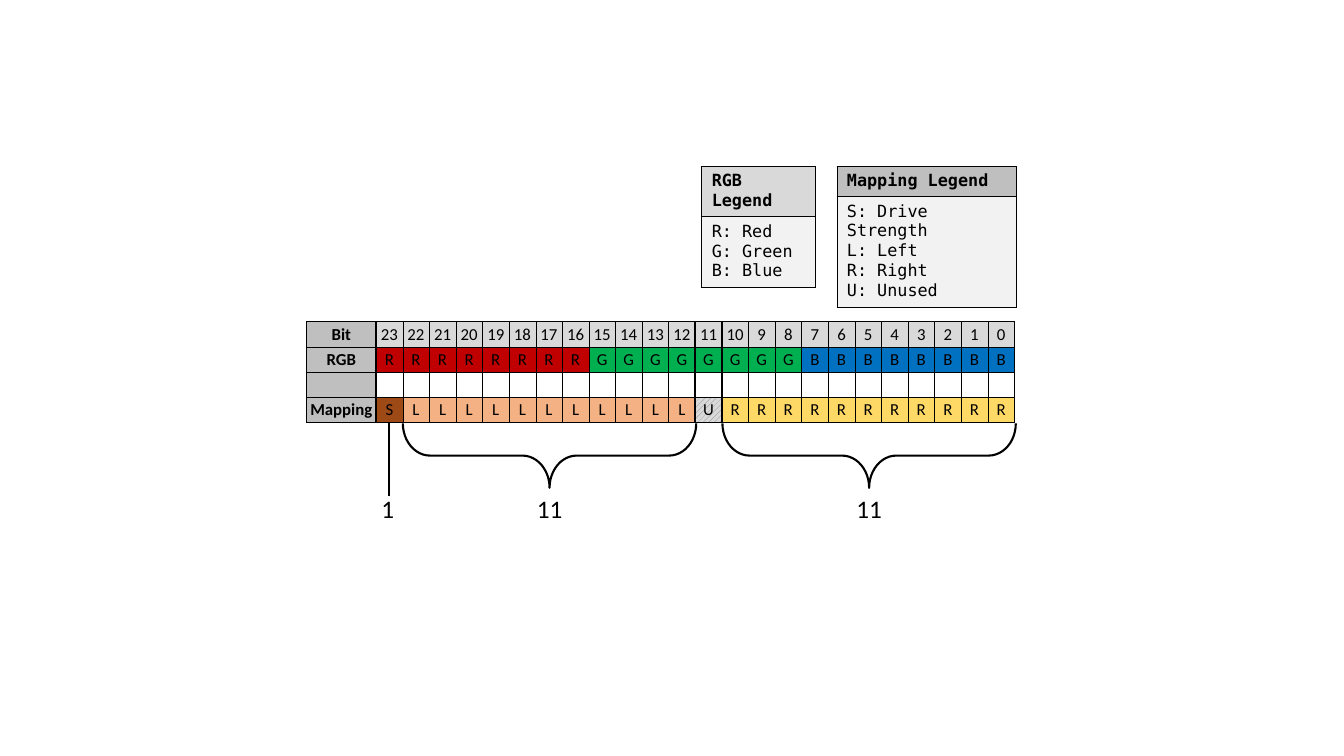
from dataclasses import dataclass

from lxml import etree
from pptx import Presentation
from pptx.dml.color import RGBColor
from pptx.enum.dml import MSO_PATTERN
from pptx.enum.shapes import MSO_CONNECTOR, MSO_SHAPE
from pptx.enum.text import MSO_ANCHOR, MSO_AUTO_SIZE, PP_ALIGN
from pptx.oxml.ns import qn
from pptx.slide import Slide
from pptx.table import Table, _Cell
from pptx.text.text import _Paragraph
from pptx.util import Inches, Pt

CENTER = PP_ALIGN.CENTER
MIDDLE = MSO_ANCHOR.MIDDLE
GROW = MSO_AUTO_SIZE.SHAPE_TO_FIT_TEXT
RIGHT_BRACE = MSO_SHAPE.RIGHT_BRACE
STRAIGHT = MSO_CONNECTOR.STRAIGHT
WIDE_UPWARD = MSO_PATTERN.WIDE_UPWARD_DIAGONAL


@dataclass(frozen=True)
class Theme:
    ink: str = "000000"
    label: str = "BFBFBF"
    header: str = "D9D9D9"
    body: str = "F2F2F2"
    hatch: str = "808080"
    font: str = "Calibri"
    mono: str = "DejaVu Sans Mono"
    table_size: float = 12
    count_size: float = 18
    hairline: float = 0.25
    frame: float = 0.5
    thick: float = 1.5


THEME = Theme()


@dataclass(frozen=True)
class BitRow:
    label: str
    bits: list[str]
    colors: dict[str, str]


@dataclass(frozen=True)
class Legend:
    title: str
    entries: list[str]
    left: float
    width: float
    color: str


@dataclass(frozen=True)
class Count:
    text: str
    center: float
    width: float


BIT_NUMBERS = [str(n) for n in reversed(range(24))]
BIT_ROWS = [
    BitRow("Bit", BIT_NUMBERS, dict.fromkeys(BIT_NUMBERS, THEME.header)),
    BitRow("RGB", list("R" * 8 + "G" * 8 + "B" * 8),
           {"R": "C00000", "G": "00B050", "B": "0070C0"}),
    BitRow("", [""] * 24, {}),
    BitRow("Mapping", list("S" + "L" * 11 + "U" + "R" * 11),
           {"S": "9E4A16", "L": "F4B183", "R": "FFD966"}),
]
THICK_EDGES = {1, 13, 14}
TABLE_LEFT, TABLE_TOP, TABLE_WIDTH = 3.04, 3.19, 7.03
LABEL_WIDTH, ROW_HEIGHT = 0.69, 0.25

LEGENDS = [
    Legend("RGB Legend", ["R: Red", "G: Green", "B: Blue"], 6.96, 1.13, THEME.header),
    Legend("Mapping Legend", ["S: Drive Strength", "L: Left", "R: Right", "U: Unused"],
           8.3, 1.78, THEME.label),
]
LEGEND_TOP, LEGEND_ROWS = 1.65, (0.29, 0.41)

STRENGTH = Count("1", 3.86, 0.35)
CHANNELS = [Count("11", 5.45, 0.45), Count("11", 8.62, 0.45)]
BRACE_DEPTH, BRACE_SPAN, BRACE_MIDDLE = 0.64, 2.91, 4.52


def rgb(color: str) -> RGBColor:
    return RGBColor.from_string(color)


def format_runs(p: _Paragraph, font: str, size: float, bold: bool = False) -> None:
    for r in p.runs:
        r.font.name, r.font.size, r.font.bold = font, Pt(size), bold
        r.font.color.rgb = rgb(THEME.ink)


def set_borders(cell: _Cell, left: float, right: float, level: float) -> None:
    """Put the four border lines ahead of the cell's fill."""
    tc_pr = cell._tc.get_or_add_tcPr()
    sides = (("L", left), ("R", right), ("T", level), ("B", level))
    for i, (side, weight) in enumerate(sides):
        ln = etree.Element(qn(f"a:ln{side}"), w=str(Pt(weight)))
        fill = etree.SubElement(ln, qn("a:solidFill"))
        etree.SubElement(fill, qn("a:srgbClr"), val=THEME.ink)
        tc_pr.insert(i, ln)


def add_plain_table(s: Slide, rows: int, cols: int, left: float, top: float,
                    width: float, height: float) -> Table:
    table = s.shapes.add_table(rows, cols, Inches(left), Inches(top),
                               Inches(width), Inches(height)).table
    table.first_row = table.horz_banding = False
    return table


def fill_bit_cell(cell: _Cell, text: str, color: str | None) -> None:
    if text == "U":
        cell.fill.patterned()
        cell.fill.pattern = WIDE_UPWARD
        cell.fill.fore_color.rgb = rgb(THEME.hatch)
        cell.fill.back_color.rgb = rgb(THEME.header)
    elif color:
        cell.fill.solid()
        cell.fill.fore_color.rgb = rgb(color)
    else:
        cell.fill.background()


def add_bit_table(s: Slide) -> None:
    cols = len(BIT_NUMBERS) + 1
    table = add_plain_table(s, len(BIT_ROWS), cols, TABLE_LEFT, TABLE_TOP,
                            TABLE_WIDTH, ROW_HEIGHT * len(BIT_ROWS))
    bit_width = (TABLE_WIDTH - LABEL_WIDTH) / len(BIT_NUMBERS)
    for col, column in enumerate(table.columns):
        column.width = Inches(bit_width if col else LABEL_WIDTH)
    edges = [THEME.thick if col in THICK_EDGES else THEME.hairline
             for col in range(cols + 1)]
    for row, bit_row in enumerate(BIT_ROWS):
        for col, text in enumerate([bit_row.label, *bit_row.bits]):
            cell = table.cell(row, col)
            cell.margin_left = cell.margin_right = cell.margin_top = Inches(0.01)
            cell.margin_bottom = 0
            cell.vertical_anchor = MIDDLE
            p = cell.text_frame.paragraphs[0]
            p.text, p.alignment = text, CENTER
            format_runs(p, THEME.font, THEME.table_size, bold=col == 0)
            if not text:
                etree.SubElement(p._p, qn("a:endParaRPr"),
                                 sz=str(int(THEME.table_size * 100)))
            fill_bit_cell(cell, text, bit_row.colors.get(text) if col else THEME.label)
            set_borders(cell, edges[col], edges[col + 1], THEME.hairline)


def add_legend(s: Slide, legend: Legend) -> None:
    table = add_plain_table(s, 2, 1, legend.left, LEGEND_TOP, legend.width,
                            sum(LEGEND_ROWS))
    contents = (legend.title, "\n".join(legend.entries))
    colors = (legend.color, THEME.body)
    for row, (text, color, height) in enumerate(zip(contents, colors, LEGEND_ROWS)):
        table.rows[row].height = Inches(height)
        cell = table.cell(row, 0)
        cell.text_frame.text = text
        for p in cell.text_frame.paragraphs:
            format_runs(p, THEME.mono, THEME.table_size, bold=row == 0)
        cell.fill.solid()
        cell.fill.fore_color.rgb = rgb(color)
        set_borders(cell, THEME.frame, THEME.frame, THEME.frame)


def add_brace(s: Slide, center: float) -> None:
    sp = s.shapes.add_shape(RIGHT_BRACE, Inches(center - BRACE_DEPTH / 2),
                            Inches(BRACE_MIDDLE - BRACE_SPAN / 2),
                            Inches(BRACE_DEPTH), Inches(BRACE_SPAN))
    sp.rotation = 90
    sp.adjustments[0], sp.adjustments[1] = 0.42, 0.5
    sp.shadow.inherit = False
    sp.fill.background()
    sp.line.color.rgb, sp.line.width = rgb(THEME.ink), Pt(THEME.thick)


def add_count(s: Slide, count: Count) -> None:
    sp = s.shapes.add_textbox(Inches(count.center - count.width / 2), Inches(4.84),
                              Inches(count.width), Inches(0.4))
    tf = sp.text_frame
    tf.text, tf.word_wrap, tf.auto_size = count.text, False, GROW
    format_runs(tf.paragraphs[0], THEME.font, THEME.count_size)


def add_strength_line(s: Slide) -> None:
    x = Inches(STRENGTH.center)
    line = s.shapes.add_connector(STRAIGHT, x, Inches(4.2), x, Inches(4.92))
    line.line.color.rgb, line.line.width = rgb(THEME.ink), Pt(THEME.thick)
    etree.SubElement(line._element.spPr, qn("a:effectLst"))


def main() -> None:
    prs = Presentation()
    prs.slide_width, prs.slide_height = Inches(13.33), Inches(7.5)
    s = prs.slides.add_slide(prs.slide_layouts[6])
    for channel in CHANNELS:
        add_brace(s, channel.center)
    for count in [STRENGTH, *CHANNELS]:
        add_count(s, count)
    add_bit_table(s)
    for legend in LEGENDS:
        add_legend(s, legend)
    add_strength_line(s)
    prs.save("out.pptx")


if __name__ == "__main__":
    main()
